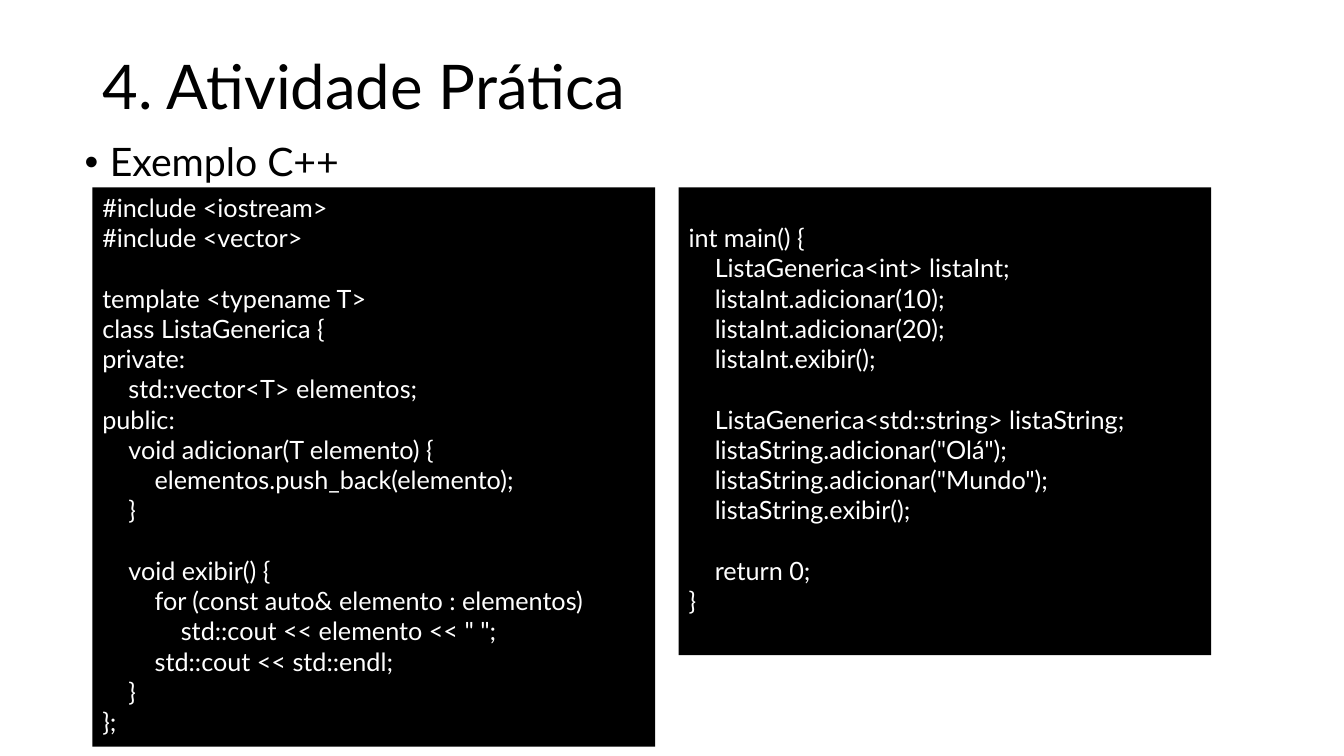
from lxml.etree import SubElement
from pptx import Presentation
from pptx.dml.color import RGBColor
from pptx.enum.shapes import MSO_SHAPE as Shape
from pptx.enum.text import MSO_ANCHOR as Anchor, PP_ALIGN as Align
from pptx.oxml.ns import qn
from pptx.util import Inches, Pt

LIST_CLASS = """\
#include <iostream>
#include <vector>

template <typename T>
class ListaGenerica {
private:
    std::vector<T> elementos;
public:
    void adicionar(T elemento) {
        elementos.push_back(elemento);
    }

    void exibir() {
        for (const auto& elemento : elementos)
            std::cout << elemento << " ";
        std::cout << std::endl;
    }
};"""

MAIN_FUNCTION = """\
int main() {
    ListaGenerica<int> listaInt;
    listaInt.adicionar(10);
    listaInt.adicionar(20);
    listaInt.exibir();

    ListaGenerica<std::string> listaString;
    listaString.adicionar("Olá");
    listaString.adicionar("Mundo");
    listaString.exibir();

    return 0;
}"""


def color(hex_code):
    """Turn a hex string into a colour."""
    return RGBColor.from_string(hex_code)


class Lesson:
    """Hold the deck's style and its current page, on a 160 by 90 grid."""

    FONT = "Lato"
    INK, PAPER = "000000", "FFFFFF"
    CELL = Inches(1 / 12)
    CODE_SIZE = 18
    CODE_LINE = Pt(CODE_SIZE * 1.2)
    CODE_INDENT = Inches(0.26)

    def __init__(self):
        """Start a widescreen deck with one title-only page."""
        self.deck = Presentation()
        self.deck.slide_width, self.deck.slide_height = 160 * self.CELL, 90 * self.CELL
        self.page = self.deck.slides.add_slide(self.deck.slide_layouts[5])

    def grid(self, *cells):
        """Convert columns and rows to lengths."""
        return [round(cell * self.CELL) for cell in cells]

    def set_text(self, para, text, size, ink):
        """Put left-aligned text in a paragraph."""
        para.text = text
        para.alignment = Align.LEFT
        font = para.font
        font.name, font.size, font.color.rgb = self.FONT, Pt(size), color(ink)

    def title(self, text, area):
        """Place and format the page title."""
        box = self.page.shapes.title
        box.left, box.top, box.width, box.height = self.grid(*area)
        box.text_frame.vertical_anchor = Anchor.MIDDLE
        para = box.text_frame.paragraphs[0]
        self.set_text(para, text, 44, self.INK)
        para.line_spacing = 0.9

    def bullet(self, text, area):
        """Add a text box with one bulleted line."""
        box = self.page.shapes.add_textbox(*self.grid(*area))
        box.text_frame.word_wrap = True
        para = box.text_frame.paragraphs[0]
        self.set_text(para, text, 28, self.INK)
        para.line_spacing = 0.9
        props = para._p.get_or_add_pPr()
        props.set("marL", str(Inches(0.25)))
        props.set("indent", str(-Inches(0.25)))
        SubElement(props, qn("a:buFont")).set("typeface", "Arial")
        SubElement(props, qn("a:buChar")).set("char", "•")
        props.append(props.find(qn("a:defRPr")))

    def code(self, source, area, skipped_lines=0):
        """Add a dark panel of code, indented by margins and split by spacing."""
        panel = self.page.shapes.add_shape(Shape.RECTANGLE, *self.grid(*area))
        panel.shadow.inherit = False
        panel.fill.solid()
        panel.fill.fore_color.rgb = color(self.INK)
        panel.line.fill.background()
        frame = panel.text_frame
        frame.word_wrap = True
        frame.vertical_anchor = Anchor.TOP
        frame.margin_top = Inches(0.05) + skipped_lines * self.CODE_LINE
        para, gap = frame.paragraphs[0], 0
        for number, line in enumerate(source.splitlines()):
            if not line:
                gap += self.CODE_LINE
                continue
            if number:
                para = frame.add_paragraph()
            text = line.lstrip()
            self.set_text(para, text, self.CODE_SIZE, self.PAPER)
            level = (len(line) - len(text)) // 4
            para._p.get_or_add_pPr().set("marL", str(level * self.CODE_INDENT))
            para.space_before, gap = Pt(gap / Pt(1)), 0


def main():
    """Build the practical activity page."""
    lesson = Lesson()
    lesson.title("4. Atividade Prática", (11, 2, 138, 17.4))
    lesson.bullet("Exemplo C++", (8.9, 16.4, 138, 57.1))
    lesson.code(LIST_CLASS, (11, 22.3, 67, 66.6))
    lesson.code(MAIN_FUNCTION, (80.8, 22.3, 63.4, 55.7), skipped_lines=1)
    lesson.deck.save("out.pptx")


if __name__ == "__main__":
    main()
